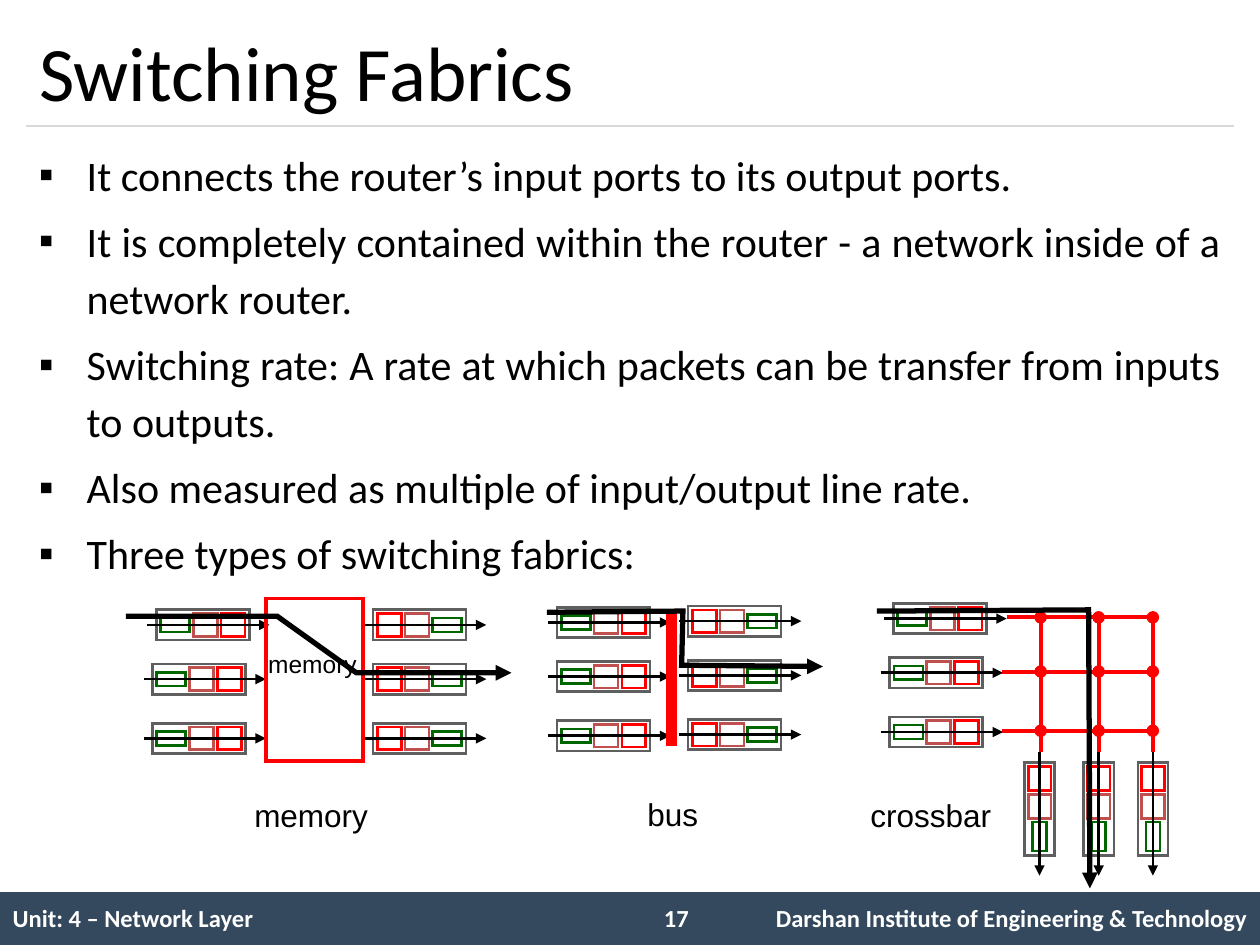
from lxml import etree
from pptx import Presentation
from pptx import util as u
from pptx.dml.color import RGBColor
from pptx.enum import shapes, text
from pptx.oxml.ns import qn

Inches, Pt = u.Inches, u.Pt
RECTANGLE = shapes.MSO_SHAPE.RECTANGLE
STRAIGHT = shapes.MSO_CONNECTOR.STRAIGHT

BLACK = RGBColor(0, 0, 0)
WHITE = RGBColor(255, 255, 255)
RED = RGBColor(255, 0, 0)
BRICK = RGBColor(0xC0, 0x50, 0x4D)
GREEN = RGBColor(0, 0x66, 0)
GRAY = RGBColor(0x5F, 0x5F, 0x5F)
RULE = RGBColor(0xD9, 0xD9, 0xD9)
NAVY = RGBColor(0x34, 0x49, 0x5E)


def write_text(frame, *lines, font="Calibri", size=14, color=BLACK, bold=False,
               align=text.PP_ALIGN.LEFT, bullet=None, spacing=None, before=0, wrap=True):
    frame.word_wrap = wrap
    for index, line in enumerate(lines):
        paragraph = frame.add_paragraph() if index else frame.paragraphs[0]
        paragraph.alignment = align
        if spacing:
            paragraph.line_spacing = spacing
        if index:
            paragraph.space_before = Pt(before)
        if bullet:
            properties = paragraph._p.get_or_add_pPr()
            properties.set("marL", str(Inches(0.38)))
            properties.set("indent", str(-Inches(0.38)))
            etree.SubElement(properties, qn("a:buFont"), typeface="Arial")
            etree.SubElement(properties, qn("a:buChar"), char=bullet)
        run = paragraph.add_run()
        run.text = line
        run.font.name, run.font.size, run.font.bold = font, Pt(size), bold
        run.font.color.rgb = color


def outline(shape, color=None, width=1.5, arrow=False):
    """Set the line of a shape or connector and switch its shadow off."""
    if color is None:
        shape.line.fill.background()
    else:
        shape.line.color.rgb = color
        shape.line.width = Pt(width)
        etree.SubElement(shape.line._get_or_add_ln(), qn("a:miter"), lim="800000")
    if arrow:
        etree.SubElement(shape.line._get_or_add_ln(), qn("a:tailEnd"), type="triangle")
    etree.SubElement(shape.element.spPr, qn("a:effectLst"))


presentation = Presentation()
presentation.slide_width, presentation.slide_height = Inches(10), Inches(7.5)
slide = presentation.slides.add_slide(presentation.slide_layouts[5])

# Footer band with its table and slide number
band = slide.shapes.add_shape(RECTANGLE, Inches(0), Inches(7.08), Inches(10), Inches(0.42))
band.fill.solid()
band.fill.fore_color.rgb = NAVY
outline(band)

table = slide.shapes.add_table(1, 3, Inches(0), Inches(7.08), Inches(10), Inches(0.43)).table
table.first_row = table.horz_banding = False
NO_STYLE_NO_GRID = "{2D5ABB26-0587-4C30-8999-92F81FD0307C}"
table._tbl.tblPr.find(qn("a:tableStyleId")).text = NO_STYLE_NO_GRID
footer = [
    (5.08, "Unit: 4 – Network Layer", text.PP_ALIGN.LEFT),
    (0.67, "", text.PP_ALIGN.LEFT),
    (4.25, "Darshan Institute of Engineering & Technology", text.PP_ALIGN.RIGHT),
]
for index, (width, words, align) in enumerate(footer):
    table.columns[index].width = Inches(width)
    cell = table.cell(0, index)
    cell.fill.background()
    cell.vertical_anchor = text.MSO_ANCHOR.MIDDLE
    if words:
        write_text(cell.text_frame, words, color=WHITE, bold=True, align=align)

number = slide.shapes.add_textbox(Inches(5.17), Inches(7.12), Inches(0.58), Inches(0.34))
write_text(number.text_frame, "17", color=WHITE, bold=True)

# Title and the rule below it
title = slide.shapes.title
title.left, title.top, title.width, title.height = map(Inches, (0.21, 0.12, 9.58, 0.88))
title.text_frame.vertical_anchor = text.MSO_ANCHOR.MIDDLE
write_text(title.text_frame, "Switching Fabrics", size=44)
rule = slide.shapes.add_connector(STRAIGHT, Inches(0.21), Inches(1), Inches(9.79), Inches(1))
outline(rule, RULE, 0.75)

# Bullet list
body = slide.shapes.add_textbox(Inches(0.21), Inches(1.08), Inches(9.58), Inches(5.83))
write_text(
    body.text_frame,
    "It connects the router’s input ports to its output ports.",
    "It is completely contained within the router - a network inside of a network router.",
    "Switching rate: A rate at which packets can be transfer from inputs to outputs.",
    "Also measured as multiple of input/output line rate.",
    "Three types of switching fabrics:",
    size=24, align=text.PP_ALIGN.JUSTIFY, bullet="▪", spacing=1.14, before=4.8)

# Packet queues: centre of each frame, packet order, direction
INPUT = (-0.22, 0.02, 0.24)
OUTPUT = (0.22, -0.02, -0.24)
columns = [  # x of the first row, x of the other rows, y of the first row, order
    (1.61, 1.58, 4.96, INPUT), (3.33, 3.33, 4.96, OUTPUT),
    (4.79, 4.79, 4.94, INPUT), (5.83, 5.83, 4.93, OUTPUT),
    (7.46, 7.43, 4.91, INPUT),
]
queues = []
for first_x, other_x, first_y, order in columns:
    for x, drop in zip((first_x, other_x, other_x), (0, 0.43, 0.9)):
        queues.append((x, first_y + drop, order, False))
queues += [(x, 6.42, OUTPUT, True) for x in (8.25, 8.72, 9.15)]

for x, y, order, vertical in queues:
    group = slide.shapes.add_group_shape()
    green_at, brick_at, red_at = order
    parts = [(0, 0.74, 0.24, GRAY), (green_at, 0.23, 0.11, GREEN),
             (brick_at, 0.19, 0.18, BRICK), (red_at, 0.19, 0.18, RED)]
    for offset, width, height, color in parts:
        center_x, center_y = (x, y + offset) if vertical else (x + offset, y)
        packet = group.shapes.add_shape(
            RECTANGLE, Inches(center_x - width / 2), Inches(center_y - height / 2),
            Inches(width), Inches(height))
        packet.rotation = 90 if vertical else 0
        packet.fill.solid()
        packet.fill.fore_color.rgb = WHITE
        outline(packet, color)
    ends = (x, y - 0.45, x, y + 0.53) if vertical else (x - 0.44, y, x + 0.53, y)
    arrow = group.shapes.add_connector(STRAIGHT, *map(Inches, ends))
    outline(arrow, BLACK, arrow=True)

# Memory box
memory = slide.shapes.add_shape(RECTANGLE, Inches(2.11), Inches(4.75), Inches(0.77), Inches(1.29))
memory.fill.background()
outline(memory, RED, 2.25)

# Bus bar and crossbar grid
grid_x, grid_y = (8.26, 8.72, 9.15), (4.9, 5.33, 5.8)
red_lines = [(5.33, 4.83, 5.33, 5.92, 6)]
red_lines += [(left, y, 9.15, y, 2.25) for left, y in zip((7.99, 7.95, 7.95), grid_y)]
red_lines += [(x, 5.97, x, 4.9, 2.25) for x in grid_x]
for *ends, width in red_lines:
    outline(slide.shapes.add_connector(STRAIGHT, *map(Inches, ends)), RED, width)
for x in grid_x:
    for y in grid_y:
        node = slide.shapes.add_shape(
            shapes.MSO_SHAPE.OVAL, Inches(x - 0.05), Inches(y - 0.05), Inches(0.1), Inches(0.1))
        node.fill.solid()
        node.fill.fore_color.rgb = RED
        outline(node)

# Labels, wide enough for one line each
labels = [
    ("memory", 1.92, 6.27, 1.1, 0.4, 18), ("memory", 2.03, 5.1, 0.94, 0.33, 14),
    ("bus", 5.04, 6.26, 0.6, 0.4, 18), ("crossbar", 6.81, 6.27, 1.16, 0.4, 18),
]
for words, *box, size in labels:
    label = slide.shapes.add_textbox(*map(Inches, box))
    label.text_frame.auto_size = text.MSO_AUTO_SIZE.SHAPE_TO_FIT_TEXT
    write_text(label.text_frame, words, font="Arial", size=size, wrap=False)

# Packet routes through the three fabrics
routes = [
    [(1, 4.89), (2.2, 4.89), (2.83, 5.34), (4.06, 5.34)],
    [(4.34, 4.86), (5.42, 4.85), (5.41, 5.28), (6.53, 5.29)],
    [(6.96, 4.85), (8.64, 4.84), (8.65, 7.05)],
]
for route in routes:
    start, *points = [(Inches(x), Inches(y)) for x, y in route]
    builder = slide.shapes.build_freeform(*start)
    builder.add_line_segments(points, close=False)
    path = builder.convert_to_shape()
    path.fill.background()
    outline(path, BLACK, 3, arrow=True)

presentation.save("out.pptx")
